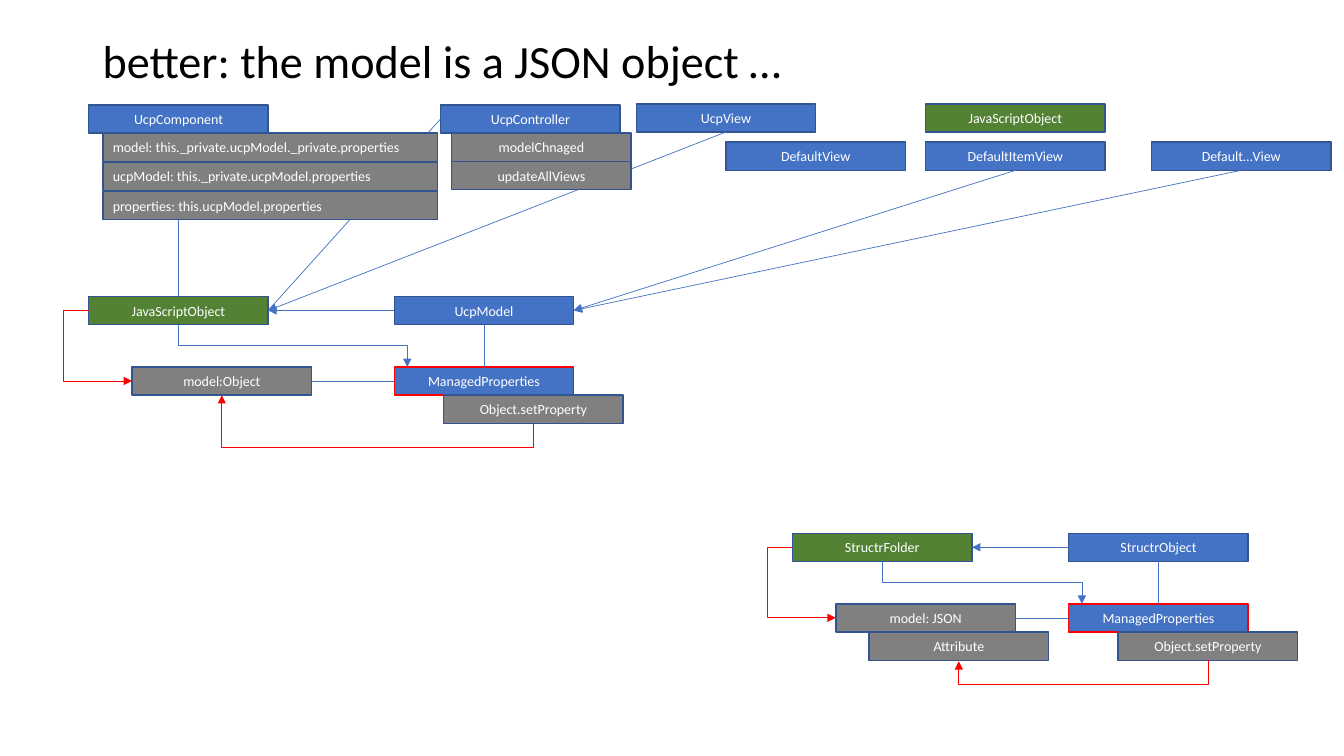
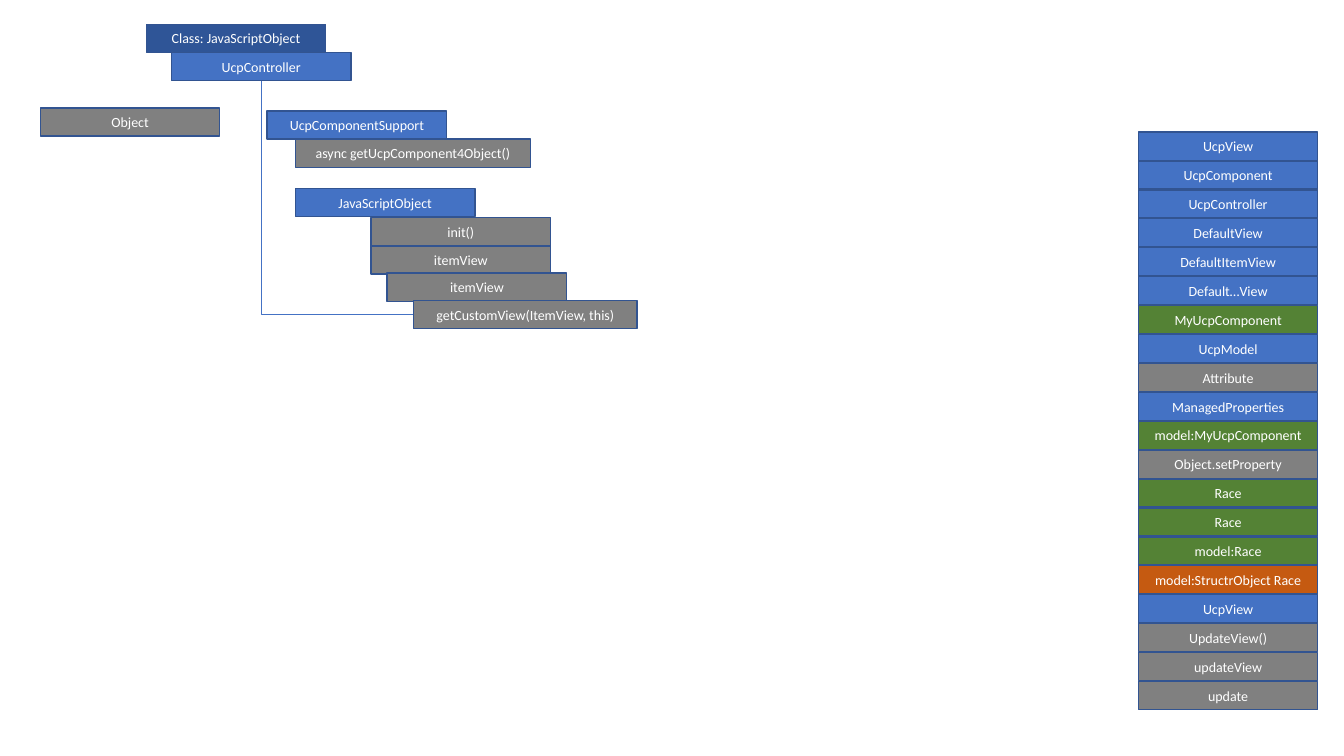
from lxml import etree
from pptx import Presentation
from pptx.dml.color import RGBColor
from pptx.enum.shapes import MSO_CONNECTOR, MSO_SHAPE
from pptx.enum.text import MSO_ANCHOR, PP_ALIGN
from pptx.oxml.ns import qn
from pptx.util import Pt

PX = 9144
FONT = "Calibri"
BOX_W, BOX_H = 178, 28
RECT = MSO_SHAPE.RECTANGLE
STRAIGHT, ELBOW = MSO_CONNECTOR.STRAIGHT, MSO_CONNECTOR.ELBOW
MIDDLE = MSO_ANCHOR.MIDDLE
LEFT, CENTER = PP_ALIGN.LEFT, PP_ALIGN.CENTER
TOP_SITE, LEFT_SITE, BOTTOM_SITE, RIGHT_SITE = range(4)
C = {
    "blue": "4472C4", "navy": "2F5597", "green": "548235", "gray": "808080",
    "orange": "C55A11", "edge": "325491", "red": "FF0000",
    "white": "FFFFFF", "black": "000000",
}


def rgb(name):
    """Return the palette colour of that name."""
    return RGBColor.from_string(C[name])


def emu(*lengths):
    """Turn px lengths into EMU."""
    return [round(v * PX) for v in lengths]


def add_run(p, text, size, color):
    """Append one styled run to a paragraph."""
    r = p.add_run()
    r.text = text
    r.font.name = FONT
    r.font.size = Pt(size)
    r.font.color.rgb = rgb(color)


def box(s, x, y, text, fill="blue", w=BOX_W, edge="edge", align=CENTER):
    """Draw one labelled class or member box."""
    sp = s.shapes.add_shape(RECT, *emu(x, y, w, BOX_H))
    sp.shadow.inherit = False
    sp.fill.solid()
    sp.fill.fore_color.rgb = rgb(fill)
    sp.line.color.rgb = rgb(edge)
    sp.line.width = Pt(1)
    tf = sp.text_frame
    tf.word_wrap = True
    tf.vertical_anchor = MIDDLE
    p = tf.paragraphs[0]
    p.alignment = align
    add_run(p, text, 10, "white")
    return sp


def style_line(cxn, color, arrow):
    """Give a connector its colour, width and optional arrowhead."""
    cxn.line.color.rgb = rgb(color)
    cxn.line.width = Pt(0.5)
    if arrow:
        etree.SubElement(cxn.line._get_or_add_ln(), qn("a:tailEnd"), type="triangle")
    etree.SubElement(cxn._element.spPr, qn("a:effectLst"))


def link(s, start, start_site, end, end_site, arrow=False):
    """Join two boxes with a straight line glued to their sides."""
    cxn = s.shapes.add_connector(STRAIGHT, 0, 0, 0, 0)
    cxn.begin_connect(start, start_site)
    cxn.end_connect(end, end_site)
    style_line(cxn, "blue", arrow)


def elbow(s, start, end, via, color="blue", vertical=True, arrow=True):
    """Draw a bent line that turns at via, leaving along y when vertical."""
    (x1, y1), (x2, y2) = start, end
    dx, dy = x2 - x1, y2 - y1
    if vertical:
        w, h = abs(dy), abs(dx)
        x, y = (x1 + x2 - w) / 2, (y1 + y2 - h) / 2
        cxn = s.shapes.add_connector(ELBOW, *emu(x, y, x + w, y + h))
        xfrm = cxn._element.spPr.find(qn("a:xfrm"))
        xfrm.set("rot", str((90 if dx < 0 else 270) * 60000))
        if (dx < 0) == (dy < 0):
            xfrm.set("flipH", "1")
        bend = (via - y1) / dy
    else:
        cxn = s.shapes.add_connector(ELBOW, *emu(x1, y1, x2, y2))
        bend = (via - x1) / dx
    geom = cxn._element.spPr.find(qn("a:prstGeom"))
    if bend == 1:
        geom.set("prst", "bentConnector2")
    else:
        guides = geom.find(qn("a:avLst"))
        if guides is None:
            guides = etree.SubElement(geom, qn("a:avLst"))
        etree.SubElement(guides, qn("a:gd"), name="adj1", fmla=f"val {round(bend * 100000)}")
    style_line(cxn, color, arrow)


def title(s, x, y, w, h, text):
    """Place the slide title."""
    tf = s.shapes.add_textbox(*emu(x, y, w, h)).text_frame
    tf.word_wrap = True
    tf.vertical_anchor = MIDDLE
    p = tf.paragraphs[0]
    p.line_spacing = 0.7
    add_run(p, text, 33, "black")


def model_block(s, x, y, gap, owner, model, parent, attribute=None):
    """Draw an owner, its model and the managed properties; return owner and parent."""
    owner_box = box(s, x, y, owner, "green")
    model_box = box(s, x + 43, y + 70, model, "gray")
    parent_box = box(s, x + gap, y, parent)
    managed = box(s, x + gap, y + 70, "ManagedProperties", edge="red")
    box(s, x + gap + 49, y + 98, "Object.setProperty", "gray")
    target = (x + 132, y + 98)
    if attribute:
        box(s, x + 76, y + 98, attribute, "gray")
        target = (x + 165, y + 127)
    link(s, managed, TOP_SITE, parent_box, BOTTOM_SITE)
    link(s, managed, LEFT_SITE, model_box, RIGHT_SITE)
    link(s, parent_box, LEFT_SITE, owner_box, RIGHT_SITE, arrow=True)
    elbow(s, (x, y + 14), (x + 43, y + 84), x - 25, "red", vertical=False)
    elbow(s, (x + gap + 138, y + 126), target, y + 150, "red")
    elbow(s, (x + 89, y + BOX_H), (x + gap + 13, y + 70), y + 49)
    return owner_box, parent_box


def class_header(s, x, y, js_object, ucp_model):
    """Draw the top row of classes with members and lines to the model block."""
    component = box(s, x, y, "UcpComponent")
    controller = box(s, x + 349, y, "UcpController")
    view = box(s, x + 543, y - 1, "UcpView")
    box(s, x + 830, y - 1, "JavaScriptObject", "green")
    _, item_view, other_view = [
        box(s, x + dx, y + 37, text)
        for dx, text in ((632, "DefaultView"), (830, "DefaultItemView"), (1054, "Default…View"))
    ]
    link(s, js_object, RIGHT_SITE, controller, LEFT_SITE)
    link(s, component, BOTTOM_SITE, js_object, TOP_SITE)
    link(s, view, BOTTOM_SITE, js_object, RIGHT_SITE, arrow=True)
    for v in (item_view, other_view):
        link(s, v, BOTTOM_SITE, ucp_model, RIGHT_SITE, arrow=True)
    for i, text in enumerate(("modelChnaged", "updateAllViews")):
        box(s, x + 360, y + BOX_H * (i + 1), text, "gray")
    members = (
        "model: this._private.ucpModel._private.properties",
        "ucpModel: this._private.ucpModel.properties",
        "properties: this.ucpModel.properties",
    )
    for i, text in enumerate(members):
        box(s, x + 14, y + 28 + 29 * i, text, "gray", w=332, align=LEFT)


def class_tree(s, x, y):
    """Draw the indented tree of classes and methods."""
    nodes = (
        (0, 83, "Object", "gray", BOX_W),
        (225, 86, "UcpComponentSupport", "blue", BOX_W),
        (253, 114, "async getUcpComponent4Object()", "gray", 233),
        (253, 163, "JavaScriptObject", "blue", BOX_W),
        (328, 192, "init()", "gray", BOX_W),
        (328, 220, "itemView", "gray", BOX_W),
        (344, 247, "itemView", "gray", BOX_W),
        (130, 28, "UcpController", "blue", BOX_W),
        (105, 0, "Class: JavaScriptObject", "navy", BOX_W),
        (370, 274, "getCustomView(ItemView, this)", "gray", 222),
    )
    for dx, dy, text, fill, w in nodes:
        box(s, x + dx, y + dy, text, fill, w)
    elbow(s, (x + 219, y + 56), (x + 370, y + 288), y + 288, arrow=False)


def class_stack(s, x, y, h):
    """Draw the evenly spaced column of class names."""
    items = (
        ("UcpView", "blue"), ("UcpComponent", "blue"), ("UcpController", "blue"),
        ("DefaultView", "blue"), ("DefaultItemView", "blue"), ("Default…View", "blue"),
        ("MyUcpComponent", "green"), ("UcpModel", "blue"), ("Attribute", "gray"),
        ("ManagedProperties", "blue"), ("model:MyUcpComponent", "green"),
        ("Object.setProperty", "gray"), ("Race", "green"), ("Race", "green"),
        ("model:Race", "green"), ("model:StructrObject Race", "orange"),
        ("UcpView", "blue"), ("UpdateView()", "gray"), ("updateView", "gray"),
        ("update", "gray"),
    )
    pitch = (h - BOX_H) / (len(items) - 1)
    for i, (text, fill) in enumerate(items):
        box(s, x, y + i * pitch, text, fill)


def main():
    """Build both slides and save the file."""
    prs = Presentation()
    prs.slide_width, prs.slide_height = emu(1333, 750)
    blank = prs.slide_layouts[6]

    s = prs.slides.add_slide(blank)
    title(s, 92, 40, 1150, 53, "better: the model is a JSON object …")
    js_object, ucp_model = model_block(
        s, 88, 294, 303, "JavaScriptObject", "model:Object", "UcpModel")
    class_header(s, 88, 104, js_object, ucp_model)
    model_block(s, 786, 529, 274, "StructrFolder", "model: JSON", "StructrObject", "Attribute")

    s = prs.slides.add_slide(blank)
    class_tree(s, 40, 24)
    class_stack(s, 1129, 131, 573)

    prs.save("out.pptx")


if __name__ == "__main__":
    main()
